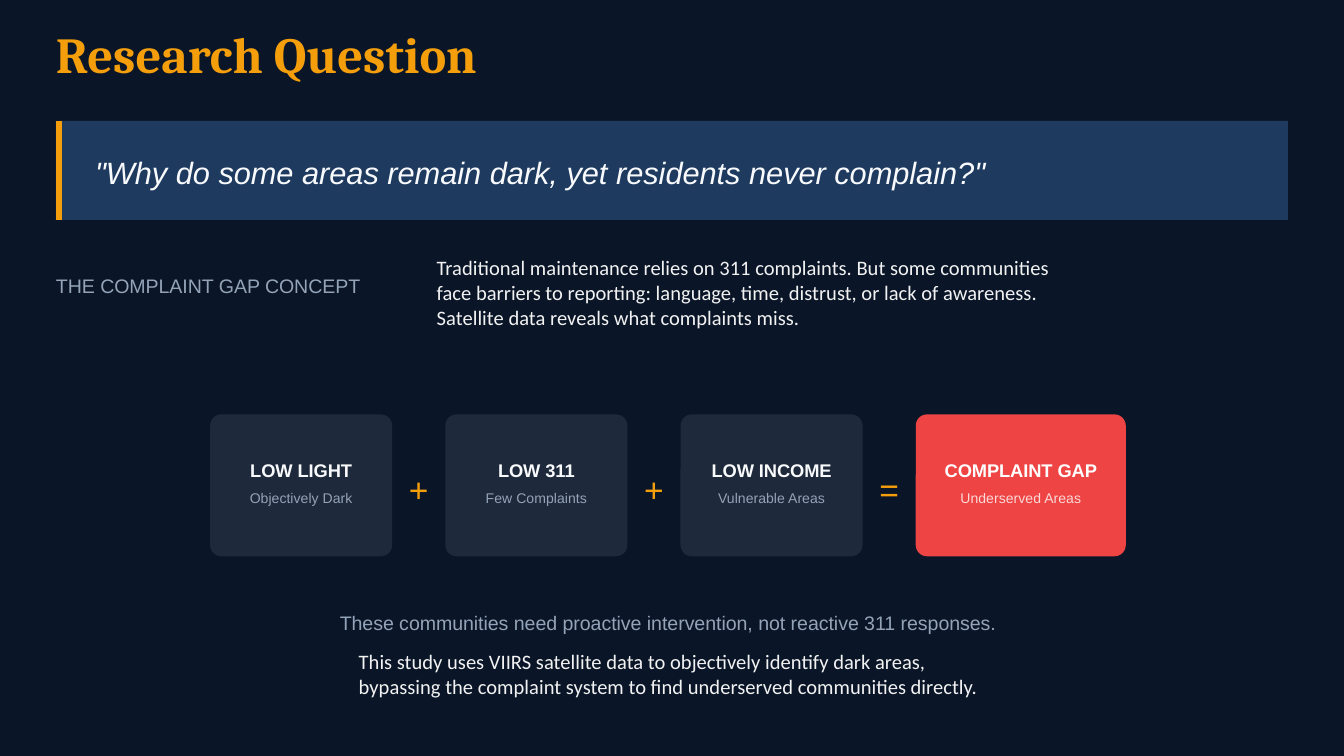
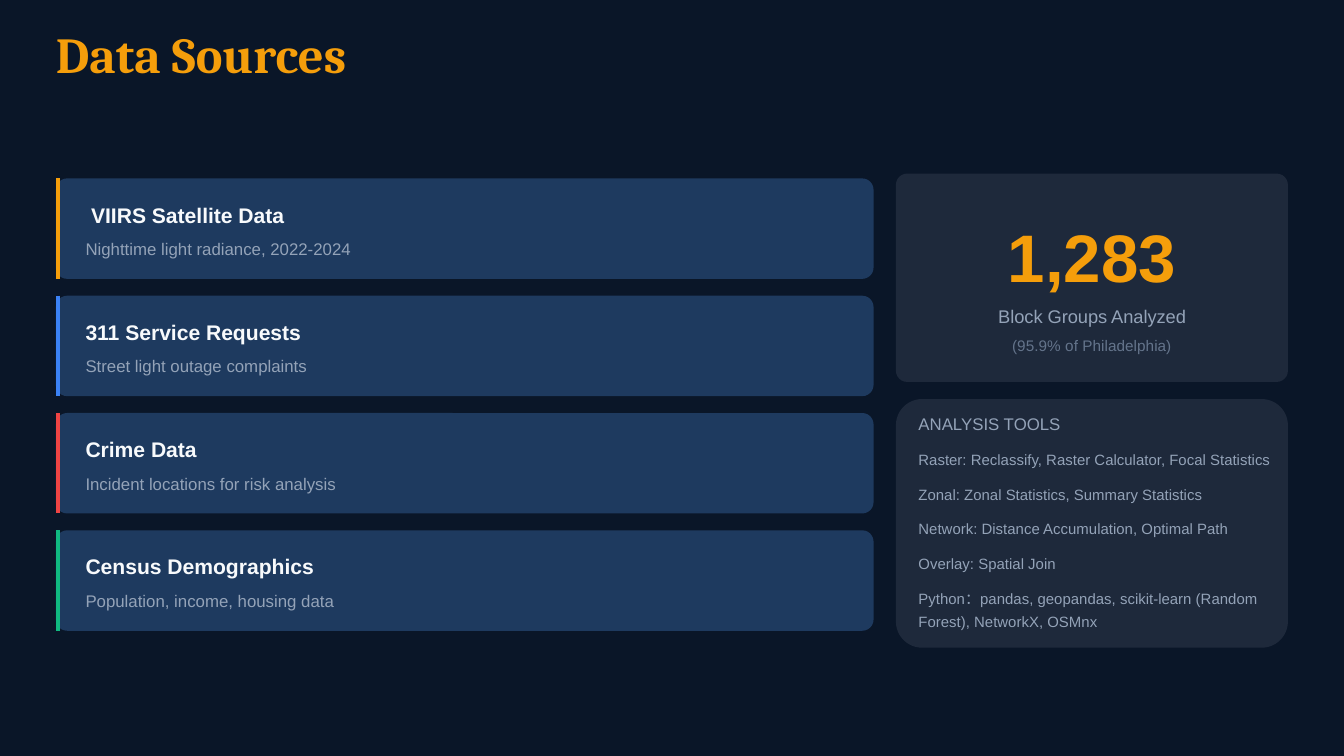
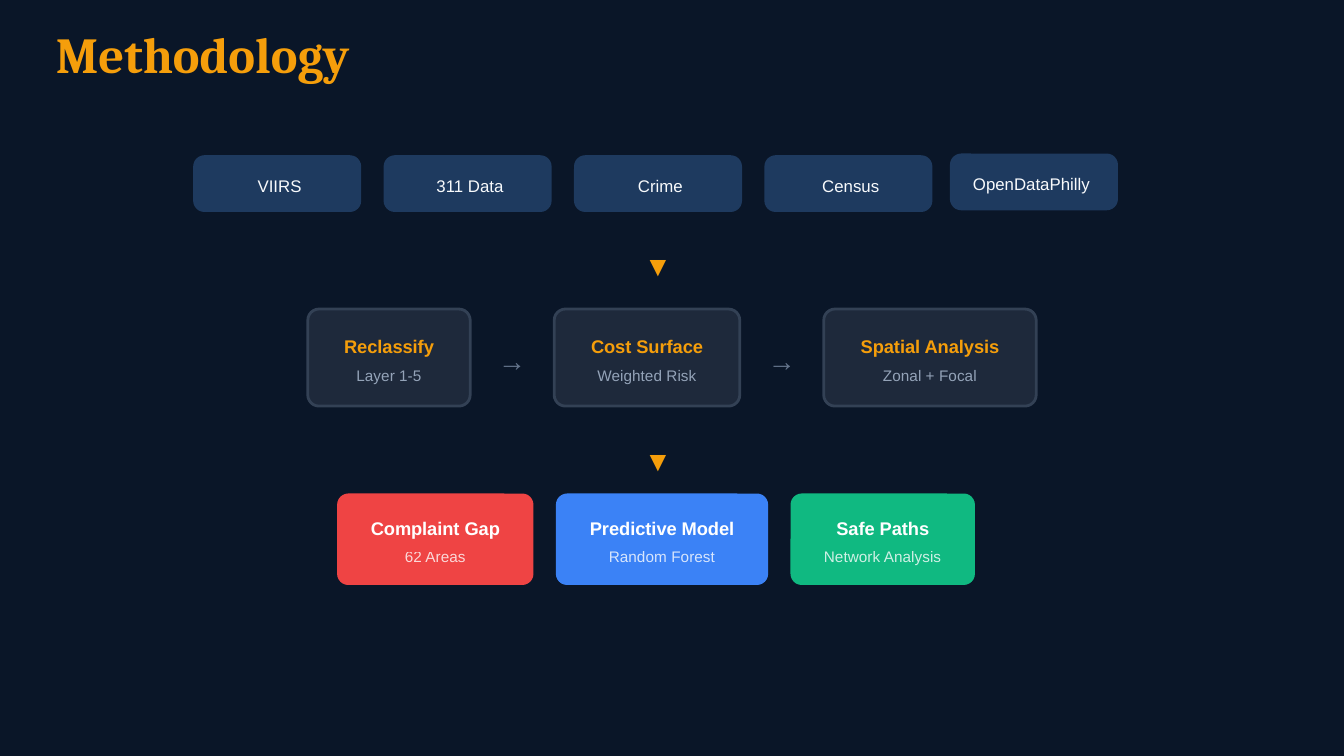
from dataclasses import dataclass
from typing import Optional

from lxml import etree
from pptx import Presentation
from pptx.dml.color import RGBColor
from pptx.enum import shapes, text
from pptx.oxml.ns import qn
from pptx.util import Pt

NIGHT = RGBColor(0x0A, 0x16, 0x28)
NAVY = RGBColor(0x1E, 0x3A, 0x5F)
SLATE = RGBColor(0x1E, 0x29, 0x3B)
OUTLINE = RGBColor(0x33, 0x41, 0x55)
DIM = RGBColor(0x64, 0x74, 0x8B)
MUTED = RGBColor(0x94, 0xA3, 0xB8)
PALE = RGBColor(0xF2, 0xF2, 0xF2)
LIGHT = RGBColor(0xF8, 0xFA, 0xFC)
WHITE = RGBColor(0xFF, 0xFF, 0xFF)
AMBER = RGBColor(0xF5, 0x9E, 0x0B)
RED = RGBColor(0xEF, 0x44, 0x44)
BLUE = RGBColor(0x3B, 0x82, 0xF6)
GREEN = RGBColor(0x10, 0xB9, 0x81)

LEFT, CENTER = text.PP_ALIGN.LEFT, text.PP_ALIGN.CENTER
MARGIN = 30
CONTENT_W = 660
LEADING = 1.4
RADIUS = 6


@dataclass(frozen=True)
class Style:
    size: float
    color: RGBColor
    bold: bool = False
    italic: bool = False
    font: str = "Arial"
    align: text.PP_ALIGN = LEFT
    leading: Optional[float] = LEADING
    alpha: Optional[int] = None
    after: float = 0


TITLE = Style(27, AMBER, bold=True, font="Cambria", leading=1)
QUOTE = Style(16.5, LIGHT, italic=True)
HEADING = Style(10.5, MUTED)
CONCLUSION = Style(10.5, MUTED, align=CENTER)
BODY = Style(11, PALE, font="Calibri", leading=None)
SOURCE_NAME = Style(11.25, LIGHT, bold=True)
SOURCE_NOTE = Style(9, MUTED)
COUNT = Style(36, AMBER, bold=True, align=CENTER)
COUNT_LABEL = Style(9.75, MUTED, align=CENTER)
COUNT_SHARE = Style(8.25, DIM, align=CENTER)
TOOLS_HEAD = Style(9, MUTED, after=6)
TOOL = Style(8, MUTED, leading=12.6 / 8, after=6)
INPUT = Style(9, LIGHT, align=CENTER)
DOWN_ARROW = Style(15, AMBER, align=CENTER)
STEP_ARROW = Style(15, DIM, align=CENTER)
OPERATOR = Style(18, AMBER, align=CENTER)
CARD_NAME = Style(9.75, LIGHT, bold=True, align=CENTER)
STEP_NAME = Style(9.75, AMBER, bold=True, align=CENTER)
BRIGHT_NAME = Style(9.75, WHITE, bold=True, align=CENTER)
GAP_NOTE = Style(7.5, MUTED, align=CENTER)
BRIGHT_GAP_NOTE = Style(7.5, WHITE, align=CENTER, alpha=80)
STEP_NOTE = Style(8.25, MUTED, align=CENTER)
BRIGHT_NOTE = Style(8.25, WHITE, align=CENTER, alpha=80)


@dataclass(frozen=True)
class Card:
    width: float
    name: str
    note: str
    fill: RGBColor
    name_style: Style
    note_style: Style
    symbol: str = ""


@dataclass(frozen=True)
class CardRow:
    """Cards from left to right; a card's symbol stands in the gap after it."""
    x: float
    y: float
    height: float
    gap: float
    name_dy: float
    note_dy: float
    cards: tuple[Card, ...]
    symbol_style: Style = OPERATOR
    outline: Optional[RGBColor] = None


@dataclass(frozen=True)
class Source:
    name: str
    note: str
    accent: RGBColor
    indent: float = 0


GAP_ROW = CardRow(112.6, 222, 76, 28.5, 22.2, 38.8, (
    Card(97.5, "LOW LIGHT", "Objectively Dark", SLATE, CARD_NAME, GAP_NOTE, "+"),
    Card(97.5, "LOW 311", "Few Complaints", SLATE, CARD_NAME, GAP_NOTE, "+"),
    Card(97.5, "LOW INCOME", "Vulnerable Areas", SLATE, CARD_NAME, GAP_NOTE, "="),
    Card(112.5, "COMPLAINT GAP", "Underserved Areas", RED, BRIGHT_NAME, BRIGHT_GAP_NOTE),
))
STEP_ROW = CardRow(164.9, 165.6, 52, 45, 12.3, 28.8, (
    Card(87, "Reclassify", "Layer 1-5", SLATE, STEP_NAME, STEP_NOTE, "→"),
    Card(99.4, "Cost Surface", "Weighted Risk", SLATE, STEP_NAME, STEP_NOTE, "→"),
    Card(113.8, "Spatial Analysis", "Zonal + Focal", SLATE, STEP_NAME, STEP_NOTE),
), STEP_ARROW, OUTLINE)
OUTCOME_ROW = CardRow(180.6, 264.4, 49, 12, 10.8, 27.2, (
    Card(105.2, "Complaint Gap", "62 Areas", RED, BRIGHT_NAME, BRIGHT_NOTE),
    Card(113.7, "Predictive Model", "Random Forest", BLUE, BRIGHT_NAME, BRIGHT_NOTE),
    Card(98.8, "Safe Paths", "Network Analysis", GREEN, BRIGHT_NAME, BRIGHT_NOTE),
))
SOURCES = (
    Source("VIIRS Satellite Data", "Nighttime light radiance, 2022-2024", AMBER, 3),
    Source("311 Service Requests", "Street light outage complaints", BLUE),
    Source("Crime Data", "Incident locations for risk analysis", RED),
    Source("Census Demographics", "Population, income, housing data", GREEN),
)
TOOLS = (
    "Raster: Reclassify, Raster Calculator, Focal Statistics",
    "Zonal: Zonal Statistics, Summary Statistics",
    "Network: Distance Accumulation, Optimal Path",
    "Overlay: Spatial Join",
    "Python：pandas, geopandas, scikit-learn (Random Forest), NetworkX, OSMnx",
)


def add_paragraph(p, content: str, style: Style) -> None:
    p.alignment = style.align
    p.space_after = Pt(style.after)
    if style.leading:
        p.line_spacing = Pt(style.size * style.leading)
    r = p.add_run()
    r.text = content
    formats = {"name": style.font, "size": Pt(style.size),
               "bold": style.bold, "italic": style.italic}
    for key, value in formats.items():
        setattr(r.font, key, value)
    r.font.color.rgb = style.color
    if style.alpha is not None:
        clr = r.font.fill._xPr.find(qn("a:solidFill"))[0]
        etree.SubElement(clr, qn("a:alpha"), val=str(style.alpha * 1000))


def add_text(s, x: float, y: float, w: float, h: float,
             *lines: tuple[str, Style]) -> None:
    tf = s.shapes.add_textbox(Pt(x), Pt(y), Pt(w), Pt(h)).text_frame
    tf.word_wrap = True
    for side in ("left", "top", "right", "bottom"):
        setattr(tf, f"margin_{side}", 0)
    for i, (content, style) in enumerate(lines):
        add_paragraph(tf.add_paragraph() if i else tf.paragraphs[0], content, style)


def add_box(s, x: float, y: float, w: float, h: float, fill: RGBColor,
            radius: float = RADIUS, outline: Optional[RGBColor] = None) -> None:
    kind = shapes.MSO_SHAPE.ROUNDED_RECTANGLE if radius else shapes.MSO_SHAPE.RECTANGLE
    sp = s.shapes.add_shape(kind, Pt(x), Pt(y), Pt(w), Pt(h))
    sp.shadow.inherit = False
    if radius:
        sp.adjustments[0] = radius / min(w, h)
    sp.fill.solid()
    sp.fill.fore_color.rgb = fill
    if outline is None:
        sp.line.fill.background()
    else:
        sp.line.color.rgb = outline
        sp.line.width = Pt(1.5)


def add_accent(s, y: float, h: float, color: RGBColor, width: float) -> None:
    """Vertical rule along the left edge of a box that starts at the margin."""
    x = Pt(MARGIN + width / 2)
    line = s.shapes.add_connector(shapes.MSO_CONNECTOR.STRAIGHT, x, Pt(y), x, Pt(y + h))
    line.line.color.rgb = color
    line.line.width = Pt(width)
    etree.SubElement(line._element.spPr, qn("a:effectLst"))


def add_card_row(s, row: CardRow) -> None:
    pad = 14
    x = row.x
    for card in row.cards:
        add_box(s, x, row.y, card.width, row.height, card.fill, outline=row.outline)
        for content, style, dy in ((card.name, card.name_style, row.name_dy),
                                   (card.note, card.note_style, row.note_dy)):
            add_text(s, x + pad, row.y + dy, card.width - 2 * pad,
                     style.size * LEADING, (content, style))
        x += card.width
        if card.symbol:
            h = row.symbol_style.size * LEADING
            add_text(s, x, row.y + (row.height - h) / 2, row.gap, h,
                     (card.symbol, row.symbol_style))
        x += row.gap


def new_slide(prs, title: str):
    s = prs.slides.add_slide(prs.slide_layouts[6])
    s.background.fill.solid()
    s.background.fill.fore_color.rgb = NIGHT
    add_text(s, MARGIN, 18, 338, 27, (title, TITLE))
    return s


def research_question(prs) -> None:
    s = new_slide(prs, "Research Question")
    band_y, band_h = 64.8, 53
    add_box(s, MARGIN, band_y, CONTENT_W, band_h, NAVY, radius=0)
    add_accent(s, band_y, band_h, AMBER, 3)
    add_text(s, 51, 79.2, 634, 23, (
        '"Why do some areas remain dark, yet residents never complain?"', QUOTE))
    add_text(s, MARGIN, 144.8, 190, 14.7, ("THE COMPLAINT GAP CONCEPT", HEADING))
    add_text(s, 234, 136.8, 345.6, 40, (
        "Traditional maintenance relies on 311 complaints. But some communities face "
        "barriers to reporting: language, time, distrust, or lack of awareness. "
        "Satellite data reveals what complaints miss.", BODY))
    add_card_row(s, GAP_ROW)
    add_text(s, 21.6, 325.4, 673, 14.7, (
        "These communities need proactive intervention, not reactive 311 responses.",
        CONCLUSION))
    add_text(s, 192.2, 347.8, 345.6, 27, (
        "This study uses VIIRS satellite data to objectively identify dark areas, "
        "bypassing the complaint system to find underserved communities directly.", BODY))


def data_sources(prs) -> None:
    s = new_slide(prs, "Data Sources")
    top, step, height = 95.6, 62.85, 53.8
    for i, source in enumerate(SOURCES):
        y = top + i * step
        add_box(s, MARGIN, y, 438, height, NAVY)
        add_accent(s, y, height, source.accent, 2.25)
        add_text(s, 45.8 + source.indent, y + 10.4, 417, 15.8, (source.name, SOURCE_NAME))
        add_text(s, 45.8, y + 30.5, 417, 12.6, (source.note, SOURCE_NOTE))

    panel_x, panel_w = 480, 210
    add_box(s, panel_x, 93, panel_w, 111.6, SLATE)
    for content, style, y in (("1,283", COUNT, 108),
                              ("Block Groups Analyzed", COUNT_LABEL, 161.5),
                              ("(95.9% of Philadelphia)", COUNT_SHARE, 178.6)):
        add_text(s, panel_x + 13, y, panel_w - 26, style.size * LEADING, (content, style))
    add_box(s, panel_x, 213.8, panel_w, 133.2, SLATE, radius=14)
    add_text(s, panel_x + 12, 219.6, 189.5, 114.5, ("ANALYSIS TOOLS", TOOLS_HEAD),
             *((tool, TOOL) for tool in TOOLS))


def methodology(prs) -> None:
    s = new_slide(prs, "Methodology")
    width, step, left, top = 90, 102, 103.5, 83.2
    inputs = [(name, left + i * step, top, 1.25)
              for i, name in enumerate(("VIIRS", "311 Data", "Crime", "Census"))]
    inputs.append(("OpenDataPhilly", 508.9, 82.3, -1.4))
    for name, x, y, shift in inputs:
        add_box(s, x, y, width, 30.4, NAVY)
        add_text(s, x + 10 + shift, y + 9, width - 20, 12.6, (name, INPUT))
    for y in (130.3, 234.7):
        add_text(s, 345, y, 15, 21, ("▼", DOWN_ARROW))
    add_card_row(s, STEP_ROW)
    add_card_row(s, OUTCOME_ROW)


def main() -> None:
    prs = Presentation()
    prs.slide_width, prs.slide_height = Pt(720), Pt(405)
    research_question(prs)
    data_sources(prs)
    methodology(prs)
    prs.save("out.pptx")


if __name__ == "__main__":
    main()
